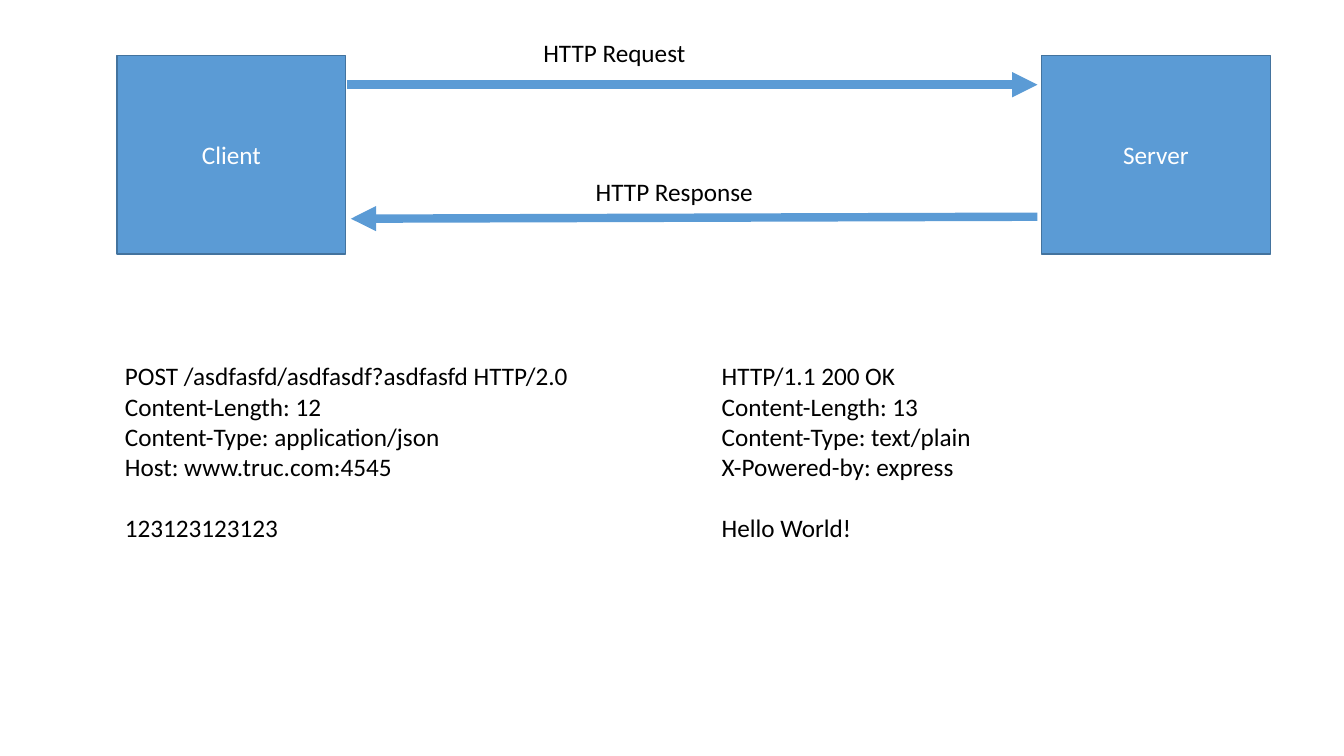
from dataclasses import dataclass
from lxml.etree import SubElement
from pptx import Presentation
from pptx.dml.color import RGBColor
from pptx.enum.shapes import MSO_CONNECTOR as Connector, MSO_SHAPE as Shape
from pptx.enum.text import MSO_ANCHOR as Anchor, MSO_AUTO_SIZE as AutoSize, PP_ALIGN as Align
from pptx.oxml.ns import qn
from pptx.util import Inches, Pt


@dataclass(frozen=True)
class Theme:
    font: str = "Calibri"
    size: int = 18
    blank_line: int = 22
    fill: str = "5B9BD5"
    border: str = "43739E"
    light: str = "FFFFFF"
    dark: str = "000000"


theme = Theme()

HOSTS = [("Client", 1.16), ("Server", 10.33)]
HOST_TOP, HOST_WIDTH, HOST_HEIGHT = 0.55, 2.27, 1.97

ARROWS = [
    ((3.44, 0.84), (10.29, 0.84)),
    ((10.29, 2.15), (3.48, 2.17)),
]
LABELS = [
    ("HTTP Request", (5.29, 0.32, 1.63, 0.4)),
    ("HTTP Response", (5.81, 1.7, 1.78, 0.4)),
]

MESSAGE_TOP, MESSAGE_HEIGHT = 3.53, 1.92
MESSAGES = [
    {
        "left": 1.14,
        "width": 4.64,
        "headers": [
            "POST /asdfasfd/asdfasdf?asdfasfd HTTP/2.0",
            "Content-Length: 12",
            "Content-Type: application/json",
            "Host: www.truc.com:4545",
        ],
        "body": "123123123123",
    },
    {
        "left": 7.06,
        "width": 2.71,
        "headers": [
            "HTTP/1.1 200 OK",
            "Content-Length: 13",
            "Content-Type: text/plain",
            "X-Powered-by: express",
        ],
        "body": "Hello World!",
    },
]


def color(value):
    return RGBColor.from_string(value)


def write(frame, lines, ink, align=Align.LEFT):
    frame.text = "\n".join(lines)
    for para in frame.paragraphs:
        para.alignment = align
        para.font.name = theme.font
        para.font.size = Pt(theme.size)
        para.font.color.rgb = color(ink)


def add_host(page, name, left):
    box = page.shapes.add_shape(
        Shape.RECTANGLE, *map(Inches, (left, HOST_TOP, HOST_WIDTH, HOST_HEIGHT)))
    box.shadow.inherit = False
    box.fill.solid()
    box.fill.fore_color.rgb = color(theme.fill)
    box.line.color.rgb = color(theme.border)
    box.line.width = Pt(1)
    box.text_frame.vertical_anchor = Anchor.MIDDLE
    write(box.text_frame, [name], theme.light, Align.CENTER)


def add_arrow(page, start, end):
    arrow = page.shapes.add_connector(Connector.STRAIGHT, *map(Inches, start + end))
    arrow.line.color.rgb = color(theme.fill)
    arrow.line.width = Pt(6)
    SubElement(arrow.line._get_or_add_ln(), qn("a:tailEnd"), type="triangle")
    SubElement(arrow._element.spPr, qn("a:effectLst"))


def add_text(page, lines, place):
    box = page.shapes.add_textbox(*map(Inches, place))
    frame = box.text_frame
    frame.word_wrap = False
    frame.auto_size = AutoSize.SHAPE_TO_FIT_TEXT
    write(frame, lines, theme.dark)
    return frame


deck = Presentation()
deck.slide_width, deck.slide_height = Inches(13.33), Inches(7.5)
page = deck.slides.add_slide(deck.slide_layouts[6])

for name, left in HOSTS:
    add_host(page, name, left)
for start, end in ARROWS:
    add_arrow(page, start, end)
for label, place in LABELS:
    add_text(page, [label], place)
for message in MESSAGES:
    place = (message["left"], MESSAGE_TOP, message["width"], MESSAGE_HEIGHT)
    frame = add_text(page, message["headers"] + [message["body"]], place)
    frame.paragraphs[-1].space_before = Pt(theme.blank_line)

deck.save("out.pptx")
